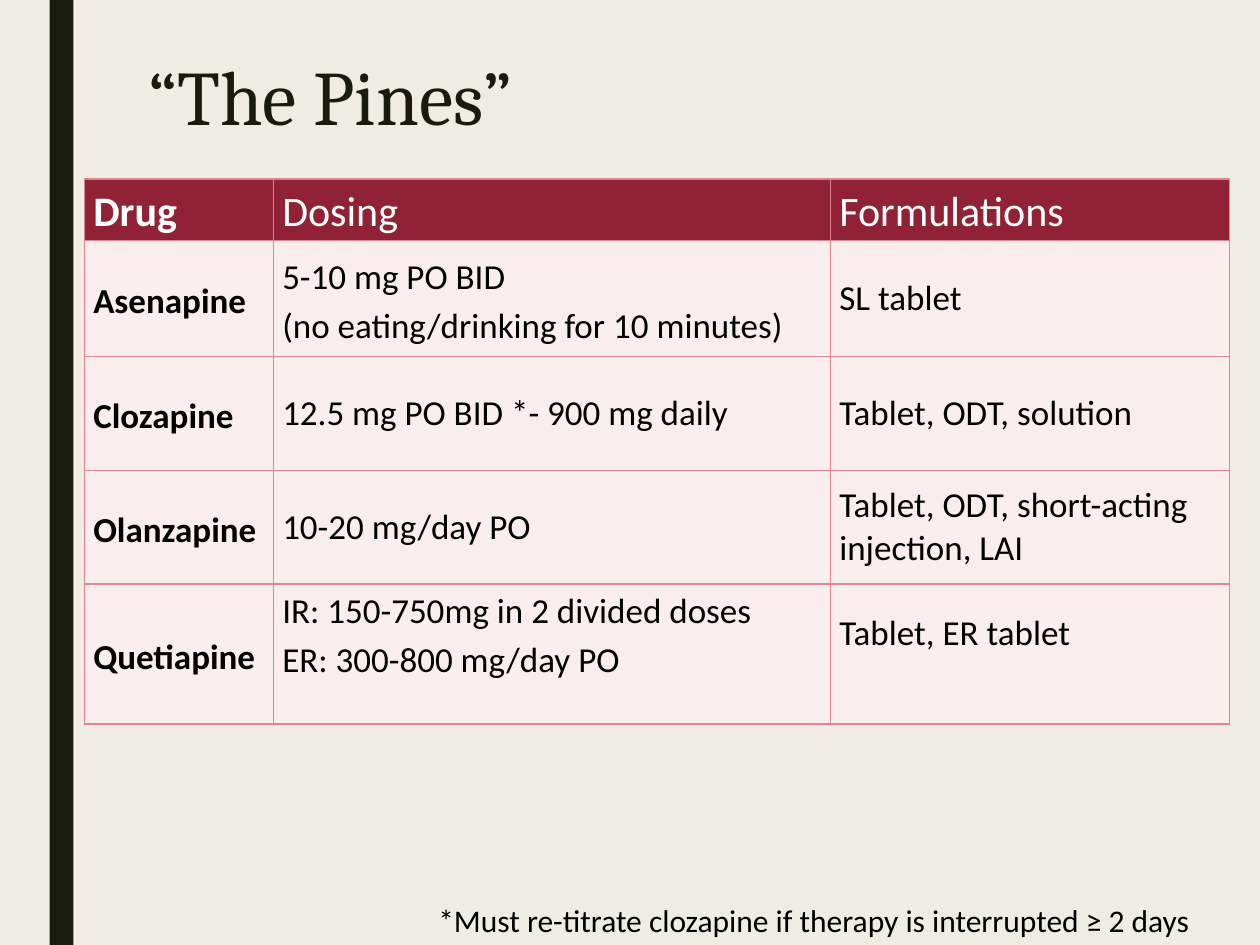
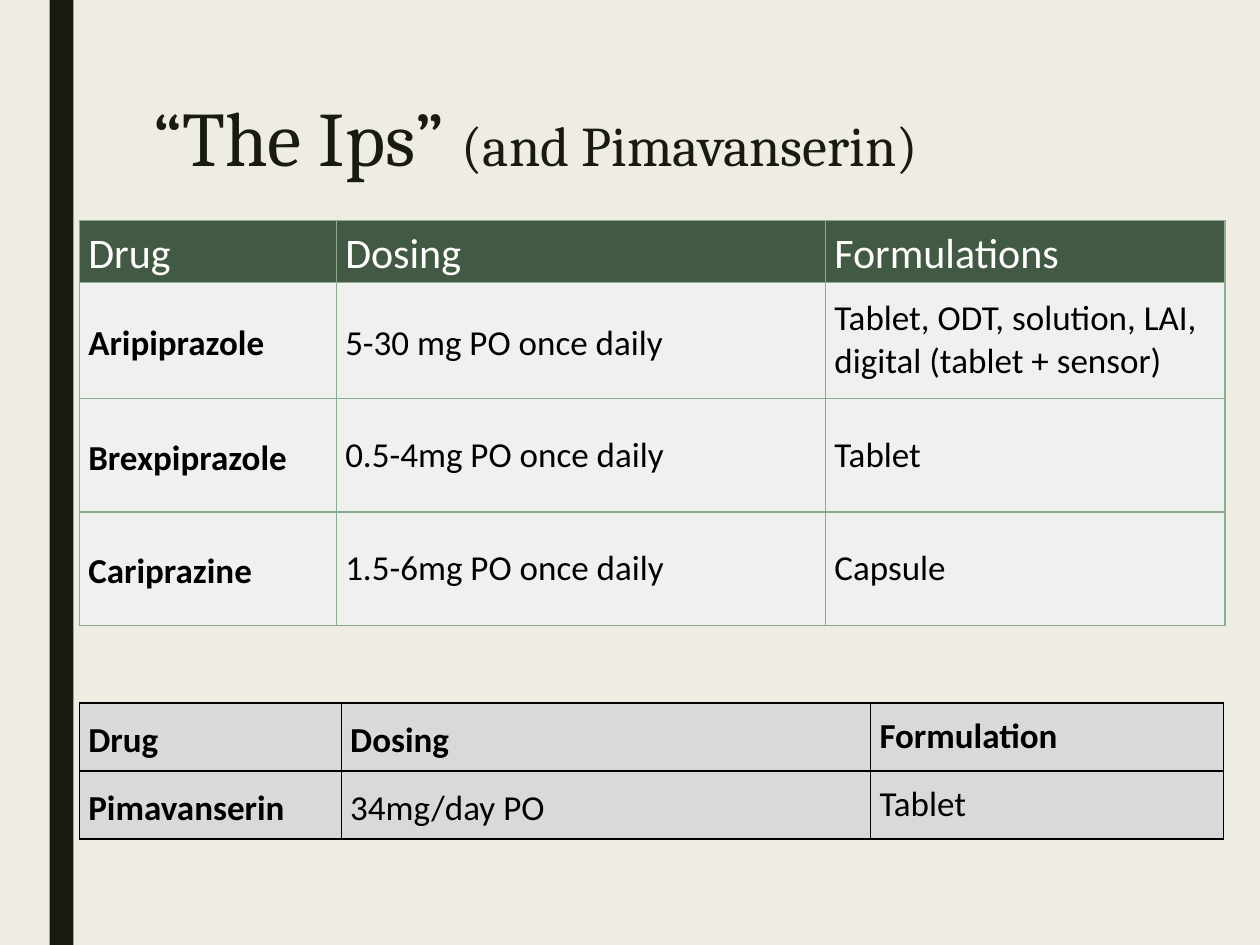
"""Build two slides of antipsychotic dosing tables."""
from dataclasses import dataclass

from lxml.etree import SubElement
from pptx import Presentation
from pptx.dml.color import RGBColor
from pptx.enum.shapes import MSO_SHAPE
from pptx.enum.text import MSO_ANCHOR, MSO_AUTO_SIZE, PP_ALIGN
from pptx.oxml.ns import qn
from pptx.presentation import Presentation as Deck
from pptx.slide import Slide
from pptx.table import _Cell as TableCell
from pptx.text.text import _Paragraph as Paragraph
from pptx.util import Cm, Pt


@dataclass(frozen=True)
class Theme:
    background: str = "EFEDE3"
    ink: str = "191B0E"
    black: str = "000000"
    white: str = "FFFFFF"
    heading_font: str = "Cambria"
    body_font: str = "Calibri"
    title_size: int = 44
    subtitle_size: int = 32
    header_size: int = 24
    body_size: int = 20
    note_size: int = 18
    title_spacing: float = 0.89
    loose_spacing: float = 1.15


THEME = Theme()


@dataclass(frozen=True)
class Run:
    text: str
    size: int
    color: str = THEME.black
    font: str = THEME.body_font
    bold: bool = False


@dataclass(frozen=True)
class Entry:
    lines: tuple[str, ...]
    bold: bool = False
    loose: bool = False
    bottom: float = 0


@dataclass(frozen=True)
class TableStyle:
    header_fill: str
    body_fill: str
    border: str
    header_color: str = THEME.white
    header_size: int = THEME.header_size
    header_anchor: MSO_ANCHOR = MSO_ANCHOR.TOP


@dataclass(frozen=True)
class DrugTable:
    left: float
    top: float
    columns: tuple[float, ...]
    heights: tuple[float, ...]
    style: TableStyle
    rows: tuple[tuple[Entry, ...], ...]


RED = TableStyle("912236", "FAEDEE", "E28394")
GREEN = TableStyle("425A43", "EEF1EE", "8DAB8E")
GREY = TableStyle("D9D9D9", "D9D9D9", THEME.black, THEME.black, THEME.body_size, MSO_ANCHOR.MIDDLE)


def strong(text: str) -> Entry:
    """Return a bold, loosely spaced entry."""
    return Entry((text,), bold=True, loose=True)


def loose(*lines: str, bottom: float = 0) -> Entry:
    """Return a regular, loosely spaced entry."""
    return Entry(lines, loose=True, bottom=bottom)


def plain(text: str, bottom: float = 0) -> Entry:
    """Return a regular, single-spaced entry."""
    return Entry((text,), bottom=bottom)


PINES = DrugTable(
    1.7, 3.61, (3.81, 11.23, 8.05), (1.24, 2.34, 2.29, 2.29, 2.82), RED,
    (
        (strong("Drug"), loose("Dosing"), loose("Formulations")),
        (strong("Asenapine"),
         loose("5-10 mg PO BID", "(no eating/drinking for 10 minutes)"),
         plain("SL tablet")),
        (strong("Clozapine"), plain("12.5 mg PO BID *- 900 mg daily"),
         plain("Tablet, ODT, solution")),
        (strong("Olanzapine"), plain("10-20 mg/day PO"),
         plain("Tablet, ODT, short-acting injection, LAI")),
        (strong("Quetiapine"),
         loose("IR: 150-750mg in 2 divided doses", "ER: 300-800 mg/day PO", bottom=0.84),
         plain("Tablet, ER tablet", bottom=0.84)),
    ),
)
IPS = DrugTable(
    1.6, 4.45, (5.18, 9.86, 8.05), (1.24, 2.34, 2.29, 2.29), GREEN,
    (
        (loose("Drug"), loose("Dosing"), loose("Formulations")),
        (strong("Aripiprazole"), loose("5-30 mg PO once daily"),
         plain("Tablet, ODT, solution, LAI, digital (tablet + sensor)")),
        (strong("Brexpiprazole"), plain("0.5-4mg PO once daily"), plain("Tablet")),
        (strong("Cariprazine"), plain("1.5-6mg PO once daily"), plain("Capsule")),
    ),
)
PIMAVANSERIN = DrugTable(
    1.6, 14.17, (5.28, 10.67, 7.11), (1.37, 1.37), GREY,
    (
        (strong("Drug"), strong("Dosing"), Entry(("Formulation",), bold=True)),
        (strong("Pimavanserin"), loose("34mg/day PO"), plain("Tablet")),
    ),
)


def rgb(color: str) -> RGBColor:
    """Convert a hexadecimal colour."""
    return RGBColor.from_string(color)


def add_run(paragraph: Paragraph, item: Run) -> None:
    """Append one formatted run."""
    run = paragraph.add_run()
    run.text = item.text
    run.font.name = item.font
    run.font.size = Pt(item.size)
    run.font.bold = item.bold
    run.font.color.rgb = rgb(item.color)


def set_borders(cell: TableCell, color: str) -> None:
    """Draw one-point lines on all four sides of a cell."""
    properties = cell._tc.get_or_add_tcPr()
    for side in ("lnL", "lnR", "lnT", "lnB"):
        line = SubElement(properties, qn(f"a:{side}"), w=str(Pt(1)))
        fill = SubElement(line, qn("a:solidFill"))
        SubElement(fill, qn("a:srgbClr"), val=color)


def fill_cell(cell: TableCell, entry: Entry, style: TableStyle, header: bool) -> None:
    """Format a cell and write its lines."""
    set_borders(cell, style.border)
    cell.fill.solid()
    cell.fill.fore_color.rgb = rgb(style.header_fill if header else style.body_fill)
    cell.margin_left = cell.margin_right = Cm(0.18)
    cell.margin_top, cell.margin_bottom = Cm(0), Cm(entry.bottom)
    cell.vertical_anchor = style.header_anchor if header else MSO_ANCHOR.MIDDLE
    size = style.header_size if header else THEME.body_size
    color = style.header_color if header else THEME.black
    frame = cell.text_frame
    for index, text in enumerate(entry.lines):
        paragraph = frame.add_paragraph() if index else frame.paragraphs[0]
        paragraph.line_spacing = THEME.loose_spacing if entry.loose else 1.0
        add_run(paragraph, Run(text, size, color, bold=entry.bold))


def add_drug_table(slide: Slide, data: DrugTable) -> None:
    """Draw a drug table on a slide."""
    table = slide.shapes.add_table(
        len(data.rows), len(data.columns), Cm(data.left), Cm(data.top),
        Cm(sum(data.columns)), Cm(sum(data.heights))).table
    for column, width in zip(table.columns, data.columns):
        column.width = Cm(width)
    for index, (row, height) in enumerate(zip(table.rows, data.heights)):
        row.height = Cm(height)
        for cell, entry in zip(row.cells, data.rows[index]):
            fill_cell(cell, entry, data.style, header=index == 0)


def heading(text: str, size: int = THEME.title_size) -> Run:
    """Return a run in the title style."""
    return Run(text, size, THEME.ink, THEME.heading_font)


def add_slide(presentation: Deck, left: float, top: float, height: float, *runs: Run) -> Slide:
    """Add a slide with the side band and a title."""
    slide = presentation.slides.add_slide(presentation.slide_layouts[5])
    band = slide.shapes.add_shape(
        MSO_SHAPE.RECTANGLE, Cm(1), Cm(0), Cm(0.48), presentation.slide_height)
    band.shadow.inherit = False
    band.fill.solid()
    band.fill.fore_color.rgb = rgb(THEME.ink)
    band.line.fill.background()
    title = slide.shapes.title
    title.left, title.top, title.width, title.height = Cm(left), Cm(top), Cm(20.02), Cm(height)
    frame = title.text_frame
    frame.auto_size = MSO_AUTO_SIZE.NONE
    frame.vertical_anchor = MSO_ANCHOR.TOP
    paragraph = frame.paragraphs[0]
    paragraph.alignment = PP_ALIGN.LEFT
    paragraph.line_spacing = THEME.title_spacing
    paragraph.space_before = Pt(0)
    for run in runs:
        add_run(paragraph, run)
    return slide


def add_footnote(slide: Slide, text: str) -> None:
    """Write a centred note at the foot of a slide."""
    frame = slide.shapes.add_textbox(Cm(7.42), Cm(18.03), Cm(17.98), Cm(1.02)).text_frame
    frame.word_wrap = True
    paragraph = frame.paragraphs[0]
    paragraph.alignment = PP_ALIGN.CENTER
    add_run(paragraph, Run(text, THEME.note_size))


def main() -> None:
    """Build and save the presentation."""
    presentation = Presentation()
    presentation.slide_width, presentation.slide_height = Cm(25.4), Cm(19.05)
    background = presentation.slide_master.background.fill
    background.solid()
    background.fore_color.rgb = rgb(THEME.background)

    pines = add_slide(presentation, 2.74, 1.07, 2.54, heading("“The Pines”"))
    add_drug_table(pines, PINES)
    add_footnote(pines, "*Must re-titrate clozapine if therapy is interrupted ≥ 2 days")

    ips = add_slide(presentation, 2.84, 1.9, 4.11, heading("“The Ips” "),
                    heading("(and Pimavanserin)", THEME.subtitle_size))
    add_drug_table(ips, IPS)
    add_drug_table(ips, PIMAVANSERIN)

    presentation.save("out.pptx")


if __name__ == "__main__":
    main()
